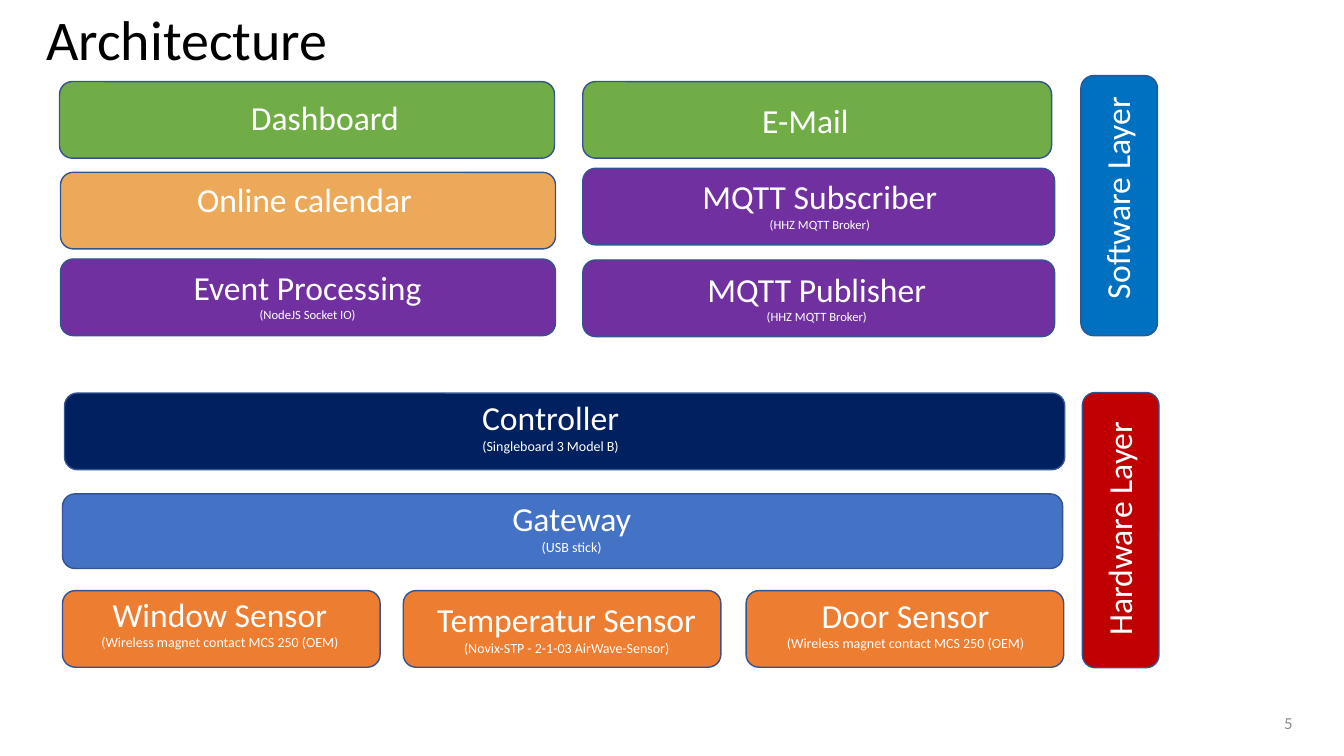
"""Build the architecture slide with its software and hardware layers."""
from pptx import Presentation
from pptx.dml.color import RGBColor
from pptx.enum.shapes import MSO_SHAPE
from pptx.enum.text import MSO_ANCHOR, PP_ALIGN
from pptx.util import Inches, Pt

ROUNDED = MSO_SHAPE.ROUNDED_RECTANGLE
TOP, MIDDLE = MSO_ANCHOR.TOP, MSO_ANCHOR.MIDDLE
LEFT, CENTER, RIGHT = PP_ALIGN.LEFT, PP_ALIGN.CENTER, PP_ALIGN.RIGHT

BLACK = RGBColor(0x00, 0x00, 0x00)
WHITE = RGBColor(0xFF, 0xFF, 0xFF)
GRAY = RGBColor(0x8C, 0x8C, 0x8C)
OUTLINE = RGBColor(0x32, 0x54, 0x91)
SAND = RGBColor(0xED, 0xA9, 0x5A)
GREEN = RGBColor(0x70, 0xAD, 0x47)
PURPLE = RGBColor(0x70, 0x30, 0xA0)
NAVY = RGBColor(0x00, 0x20, 0x60)
BLUE = RGBColor(0x44, 0x72, 0xC4)
ORANGE = RGBColor(0xED, 0x7D, 0x31)
RED = RGBColor(0xC0, 0x00, 0x00)
AZURE = RGBColor(0x00, 0x70, 0xC0)

FONT = "Calibri"
BAR_HEIGHT = 0.76
LABEL_WIDTH = 3.62
LABEL_HEIGHT = 1.21
MQTT_BROKER = "(HHZ MQTT Broker)"
MAGNET_CONTACT = "(Wireless magnet contact MCS 250 (OEM)"

BLOCKS = [
    ((0.59, 0.81, 4.91, BAR_HEIGHT, GREEN),
     (2.39, 0.91, 2.06, 0.5, LEFT, "Dashboard", None, None)),
    ((5.78, 0.81, 4.65, BAR_HEIGHT, GREEN),
     (7.46, 0.94, 1.75, 0.5, LEFT, "E-Mail", None, None)),
    ((0.6, 1.71, 4.91, BAR_HEIGHT, SAND),
     (1.21, 1.73, LABEL_WIDTH, 0.5, CENTER, "Online calendar", None, None)),
    ((5.78, 1.67, 4.68, BAR_HEIGHT, PURPLE),
     (6.32, 1.7, LABEL_WIDTH, 1.36, CENTER, "MQTT Subscriber", MQTT_BROKER, 9)),
    ((0.6, 2.57, 4.91, BAR_HEIGHT, PURPLE),
     (1.24, 2.6, LABEL_WIDTH, 1.36, CENTER, "Event Processing", "(NodeJS Socket IO)", 9)),
    ((5.78, 2.58, 4.68, BAR_HEIGHT, PURPLE),
     (6.29, 2.62, LABEL_WIDTH, 1.36, CENTER, "MQTT Publisher", MQTT_BROKER, 9)),
    ((0.64, 3.9, 9.92, BAR_HEIGHT, NAVY),
     (3.6, 3.89, 3.72, 0.7, CENTER, "Controller", "(Singleboard 3 Model B)", 10)),
    ((0.62, 4.9, 9.92, 0.74, BLUE),
     (4.35, 4.89, 2.64, 0.67, CENTER, "Gateway", "(USB stick)", 10)),
    ((0.62, 5.86, 3.15, BAR_HEIGHT, ORANGE),
     (0.37, 5.84, LABEL_WIDTH, LABEL_HEIGHT, CENTER, "Window Sensor", MAGNET_CONTACT, 10)),
    ((4, 5.86, 3.15, BAR_HEIGHT, ORANGE),
     (3.81, 5.89, LABEL_WIDTH, LABEL_HEIGHT, CENTER, "Temperatur Sensor",
      "(Novix-STP - 2-1-03 AirWave-Sensor)", 10)),
    ((7.4, 5.86, 3.15, BAR_HEIGHT, ORANGE),
     (7.17, 5.85, LABEL_WIDTH, LABEL_HEIGHT, CENTER, "Door Sensor", MAGNET_CONTACT, 10)),
]

LAYERS = [
    (9.81, 1.66, 2.58, AZURE, 9.62, 1.36, "Software Layer"),
    (9.75, 4.88, 2.73, RED, 9.64, 4.64, "Hardware Layer"),
]


def add_bar(slide, left, top, width, height, fill, rotation=0):
    """Add a rounded, outlined bar."""
    bar = slide.shapes.add_shape(
        ROUNDED, Inches(left), Inches(top), Inches(width), Inches(height))
    bar.rotation = rotation
    bar.shadow.inherit = False
    bar.fill.solid()
    bar.fill.fore_color.rgb = fill
    bar.line.color.rgb = OUTLINE
    bar.line.width = Pt(1)


def add_text(slide, left, top, width, height, lines, color=WHITE,
             alignment=CENTER, anchor=TOP, rotation=0, line_spacing=1.0):
    """Add a text box with one paragraph for each (text, size) line."""
    box = slide.shapes.add_textbox(
        Inches(left), Inches(top), Inches(width), Inches(height))
    box.rotation = rotation
    frame = box.text_frame
    frame.word_wrap = True
    frame.vertical_anchor = anchor
    for index, (text, size) in enumerate(lines):
        paragraph = frame.add_paragraph() if index else frame.paragraphs[0]
        paragraph.text = text
        paragraph.alignment = alignment
        paragraph.line_spacing = line_spacing
        paragraph.font.name = FONT
        paragraph.font.size = Pt(size)
        paragraph.font.color.rgb = color


def add_block(slide, bar, label):
    """Add a component bar with its title and optional detail."""
    left, top, width, height, alignment, title, detail, detail_size = label
    lines = [(title, 24)]
    if detail:
        lines.append((detail, detail_size))
    add_bar(slide, *bar)
    add_text(slide, left, top, width, height, lines, alignment=alignment)


def add_layer(slide, left, top, length, fill, label_left, label_top, name):
    """Add an upright layer bar with its name reading upwards."""
    add_bar(slide, left, top, length, BAR_HEIGHT, fill, rotation=90)
    add_text(slide, label_left, label_top, LABEL_WIDTH, LABEL_HEIGHT,
             [(name, 24)], rotation=270)


def main():
    """Build and save the presentation."""
    presentation = Presentation()
    presentation.slide_width = Inches(13.33)
    presentation.slide_height = Inches(7.5)
    slide = presentation.slides.add_slide(presentation.slide_layouts[6])
    add_text(slide, 0.36, -0.01, 11.5, 0.87, [("Architecture", 40)],
             BLACK, LEFT, MIDDLE, line_spacing=0.9)
    for bar, label in BLOCKS:
        add_block(slide, bar, label)
    for layer in LAYERS:
        add_layer(slide, *layer)
    add_text(slide, 9.92, 6.97, 3, 0.4, [("5", 12)], GRAY, RIGHT, MIDDLE)
    presentation.save("out.pptx")


if __name__ == "__main__":
    main()
